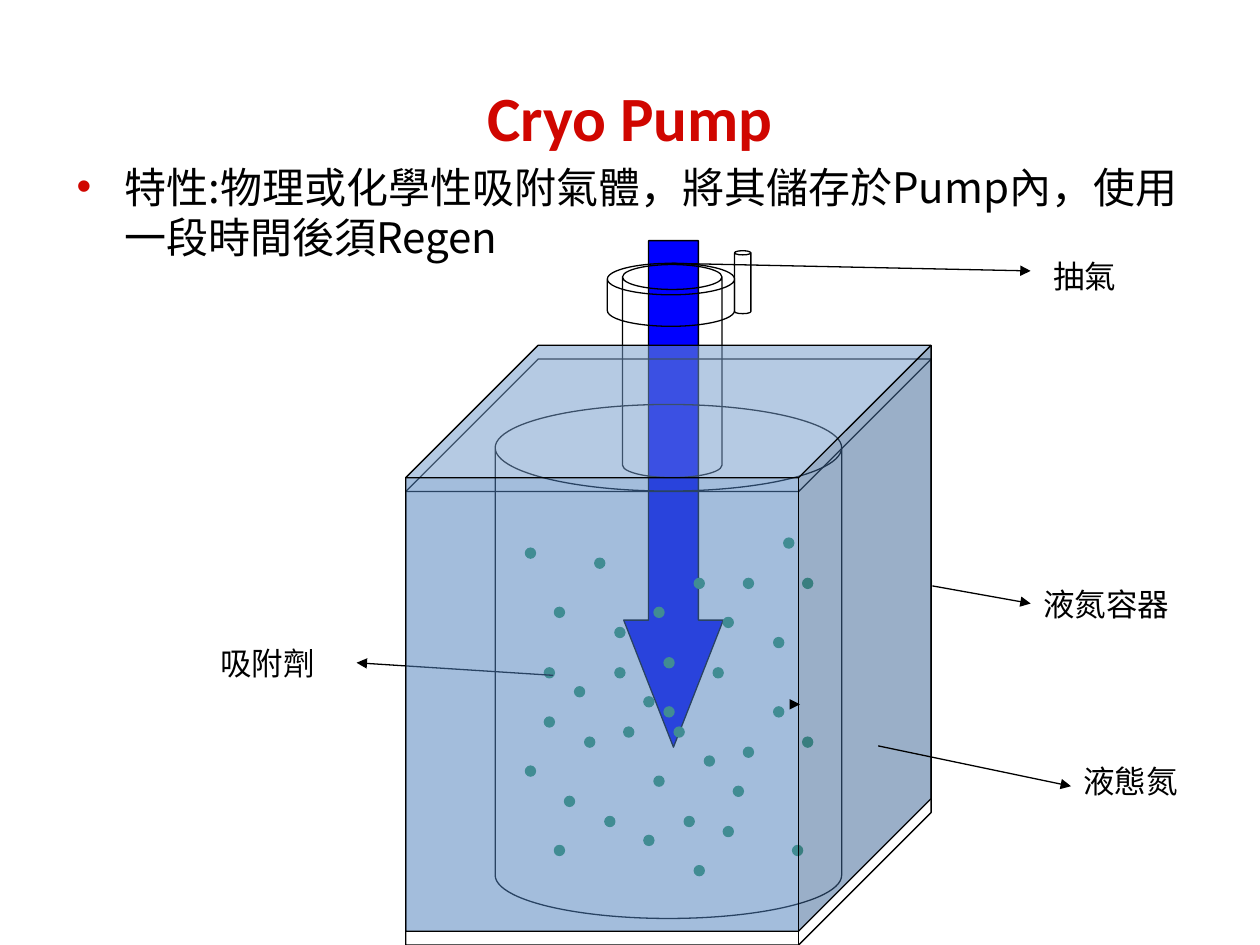
from lxml.etree import SubElement
from pptx import Presentation
from pptx.dml.color import RGBColor
from pptx.enum.shapes import MSO_CONNECTOR, MSO_SHAPE
from pptx.enum.text import MSO_ANCHOR, PP_ALIGN
from pptx.oxml.ns import qn
from pptx.util import Pt

PX = 9144  # 100 px to the inch
RED, BLACK, GREEN = "D00600", "000000", "339966"
CJK = "Noto Sans CJK SC"

TITLE = "Cryo Pump"
BODY = ["特性:物理或化學性吸附氣體，將其儲存於", "Pump", "內，使用一段時間後須", "Regen"]

# Cylinders of the pump: box, rim ratio
CANS = [
    ((393, 321, 275, 408), 0.25),
    ((494, 210, 79, 169), 0.25),
    ((482, 209, 101, 50), 0.5),
    ((583, 199, 13, 50), 0.256),
]
# Adsorbent grains: left, top
DOT = 8
DOTS = [
    (472, 443), (440, 482), (432, 569), (519, 482), (488, 498), (495, 577),
    (590, 459), (417, 435), (488, 530), (614, 561), (551, 459), (519, 616),
    (456, 545), (480, 648), (622, 427), (432, 530), (464, 585), (440, 671),
    (574, 490), (637, 459), (417, 608), (566, 530), (551, 687), (448, 632),
    (637, 585), (590, 593), (614, 506), (527, 561), (527, 522), (511, 663),
    (574, 656), (511, 553), (535, 577), (559, 600), (582, 624), (629, 671),
    (543, 648),
]
TANK = (322, 285, 417, 465)
FLUID = (322, 274, 417, 465)
# Labels: text, box, pointer start and end
SORB = ("吸附劑", (165, 506, 118, 40), (439, 536, 283, 526))
VESSEL = ("液氮容器", (818, 459, 181, 40), (740, 465, 818, 479))
LIQUID = ("液態氮", (850, 600, 118, 40), (697, 592, 850, 624))
INTAKE = ("抽氣", (826, 199, 181, 40), (533, 209, 818, 215))
TIP = (634, 559, 635, 559)

deck = Presentation()
deck.slide_width, deck.slide_height = 1000 * PX, 750 * PX
slide = deck.slides.add_slide(deck.slide_layouts[6])


def emu(nums):
    return [n * PX for n in nums]


def paint(color, hue):
    color.rgb = RGBColor.from_string(hue)


def shape(home, kind, box, adj=(), fill=None, line=BLACK, alpha=None):
    item = home.add_shape(kind, *emu(box))
    item.shadow.inherit = False
    for i, val in enumerate(adj):
        item.adjustments[i] = val
    if fill:
        item.fill.solid()
        paint(item.fill.fore_color, fill)
    else:
        item.fill.background()
    if alpha:
        hue = item.fill._xPr.find(qn("a:solidFill"))[0]
        SubElement(hue, qn("a:alpha"), val=str(alpha * 1000))
    paint(item.line.color, line)
    item.line.width = Pt(0.75)
    return item


def text(box, runs, size, font, hue=BLACK, bold=False):
    frame = slide.shapes.add_textbox(*emu(box)).text_frame
    frame.word_wrap = True
    para = frame.paragraphs[0]
    for words in runs:
        run = para.add_run()
        run.text = words
        run.font.size, run.font.name, run.font.bold = Pt(size), font, bold
        paint(run.font.color, hue)
        SubElement(run._r.rPr, qn("a:ea"), typeface=CJK)
    return frame


def arrow(ends):
    line = slide.shapes.add_connector(MSO_CONNECTOR.STRAIGHT, *emu(ends))
    paint(line.line.color, BLACK)
    line.line.width = Pt(0.75)
    SubElement(line.line._get_or_add_ln(), qn("a:tailEnd"), type="triangle")
    SubElement(line._element.spPr, qn("a:effectLst"))


def label(words, box, ends):
    text(box, [words], 18, "Arial")
    arrow(ends)


# Title and bullet
head = text((50, 30, 900, 125), [TITLE], 36, "Calibri", RED, True)
head.vertical_anchor = MSO_ANCHOR.MIDDLE
head.paragraphs[0].alignment = PP_ALIGN.CENTER

para = text((51, 123, 900, 495), BODY, 24, CJK).paragraphs[0]
para.space_before = Pt(6)
props = para._p.get_or_add_pPr()
props.set("marL", str(38 * PX))
props.set("indent", str(-38 * PX))
SubElement(SubElement(props, qn("a:buClr")), qn("a:srgbClr"), val=RED)
SubElement(props, qn("a:buFont"), typeface="Arial")
SubElement(props, qn("a:buChar"), char="•")

# Gas flow, pump body and grains
shape(slide.shapes, MSO_SHAPE.DOWN_ARROW, (495, 191, 79, 402), (0.5, 1.276), "0000FF")
pump = slide.shapes.add_group_shape().shapes
for box, rim in CANS:
    shape(pump, MSO_SHAPE.CAN, box, [rim])
grains = slide.shapes.add_group_shape().shapes
for x, y in DOTS:
    shape(grains, MSO_SHAPE.OVAL, (x, y, DOT, DOT), fill=GREEN, line=GREEN)

# Tank, liquid and labels, back to front
label(*SORB)
shape(slide.shapes, MSO_SHAPE.CUBE, TANK, [0.252])
label(*VESSEL)
shape(slide.shapes, MSO_SHAPE.CUBE, FLUID, [0.252], "4F81BD", alpha=52)
arrow(TIP)
label(*LIQUID)
label(*INTAKE)

deck.save("out.pptx")
